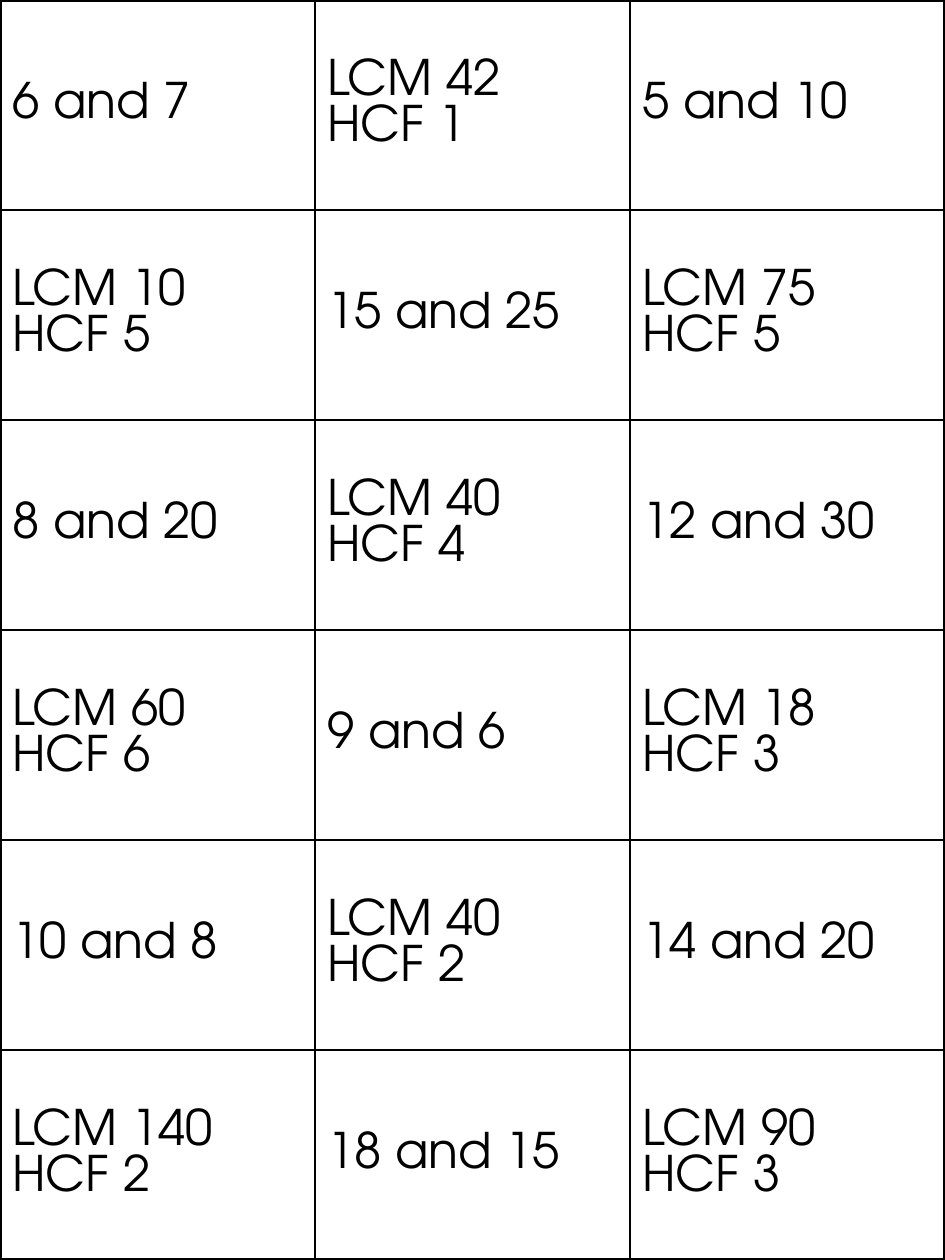
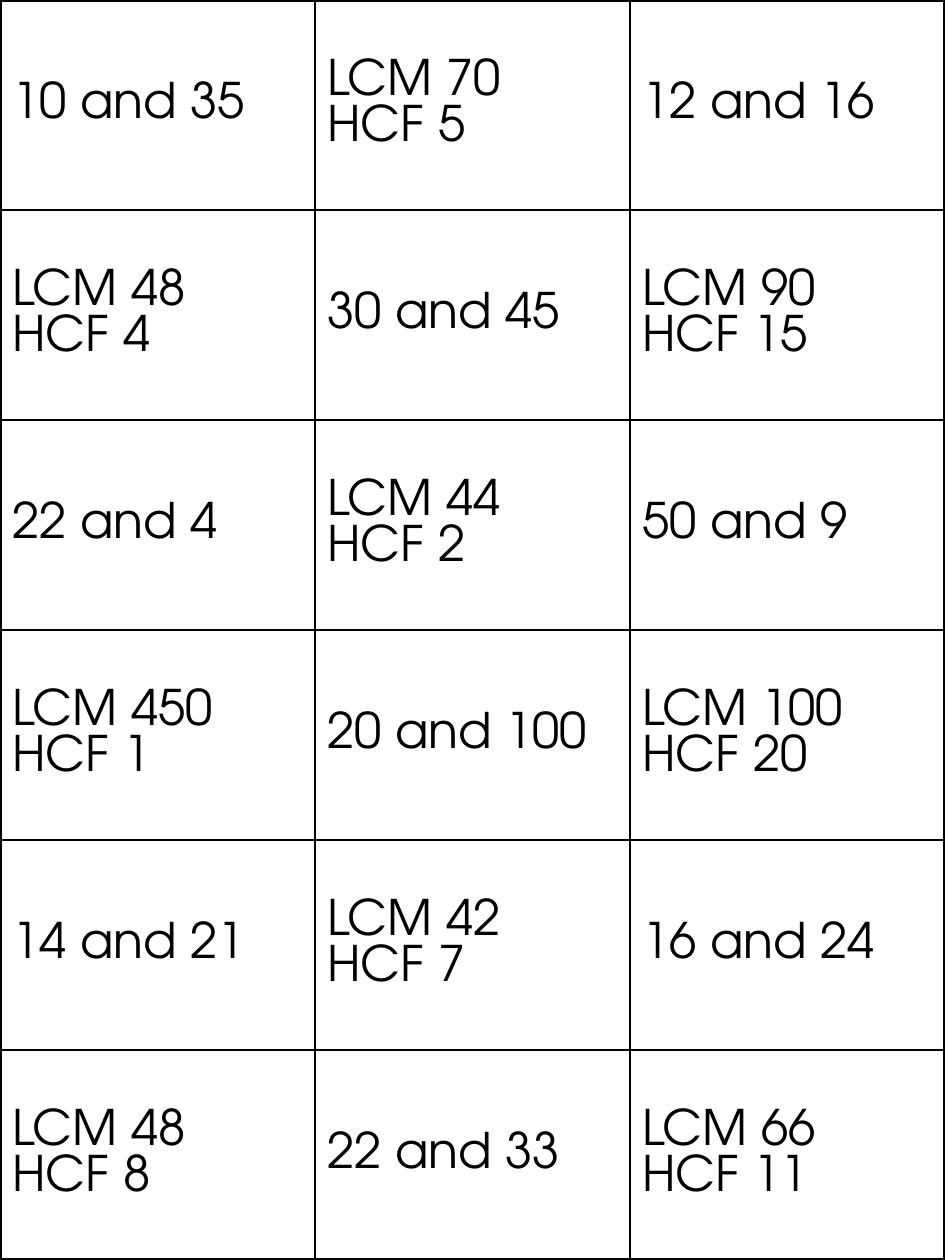
from math import gcd

from lxml import etree
from pptx import Presentation
from pptx import util as u
from pptx.dml.color import RGBColor
from pptx.enum import text
from pptx.oxml import ns

WIDTH, HEIGHT = 7.5, 10
ROWS, COLS = 6, 3


def paint(code):
    return RGBColor.from_string(code)


class Deck:
    font = "TeX Gyre Adventor"
    size = 28
    ink = "000000"
    thin = 1
    thick = 2.25

    def __init__(self):
        self.file = Presentation()
        self.file.slide_width = u.Inches(WIDTH)
        self.file.slide_height = u.Inches(HEIGHT)
        self.slide = None

    def page(self):
        self.slide = self.file.slides.add_slide(self.file.slide_layouts[6])

    def edge(self, cell, side, width):
        props = cell._tc.get_or_add_tcPr()
        line = etree.SubElement(props, ns.qn("a:ln" + side), w=str(u.Pt(width)))
        fill = etree.SubElement(line, ns.qn("a:solidFill"))
        etree.SubElement(fill, ns.qn("a:srgbClr"), val=self.ink)

    def label(self, cell, lines):
        cell.vertical_anchor = text.MSO_ANCHOR.MIDDLE
        frame = cell.text_frame
        for i, words in enumerate(lines):
            para = frame.add_paragraph() if i else frame.paragraphs[0]
            run = para.add_run()
            run.text = words
            run.font.name = self.font
            run.font.size = u.Pt(self.size)
            run.font.color.rgb = paint(self.ink)

    def grid(self, cards):
        table = self.slide.shapes.add_table(
            ROWS, COLS, 0, 0, u.Inches(WIDTH), u.Inches(HEIGHT)).table
        table.first_row = False
        table.horz_banding = False
        for i, lines in enumerate(cards):
            row, col = divmod(i, COLS)
            cell = table.cell(row, col)
            outer = {"L": col == 0, "R": col == COLS - 1,
                     "T": row == 0, "B": row == ROWS - 1}
            for side, rim in outer.items():
                self.edge(cell, side, self.thick if rim else self.thin)
            cell.fill.background()
            self.label(cell, lines)


def match(pairs):
    cards = []
    for a, b in pairs:
        hcf = gcd(a, b)
        cards.append([f"{a} and {b}"])
        cards.append([f"LCM {a * b // hcf}", f"HCF {hcf}"])
    return cards


SETS = [
    [(6, 7), (5, 10), (15, 25), (8, 20), (12, 30),
     (9, 6), (10, 8), (14, 20), (18, 15)],
    [(10, 35), (12, 16), (30, 45), (22, 4), (50, 9),
     (20, 100), (14, 21), (16, 24), (22, 33)],
]

deck = Deck()
for pairs in SETS:
    deck.page()
    deck.grid(match(pairs))
deck.file.save("out.pptx")
